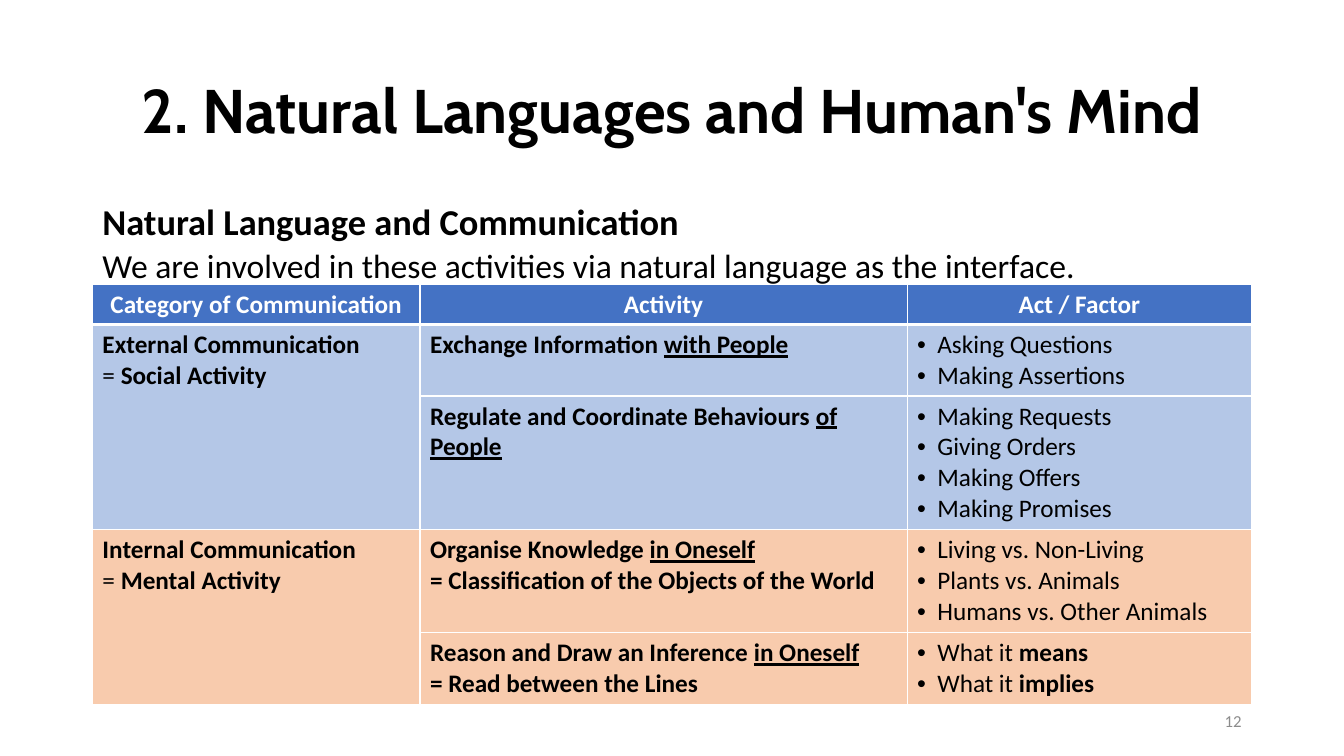
from pptx import Presentation
from pptx.dml.color import RGBColor
from pptx.enum.text import MSO_ANCHOR, PP_ALIGN
from pptx.oxml.ns import qn
from pptx.util import Inches, Pt
from lxml import etree

SLIDE_W, SLIDE_H = Inches(13.33), Inches(7.5)
GRID_COLS, GRID_ROWS = 160, 90
LEFT, CENTER, RIGHT = PP_ALIGN.LEFT, PP_ALIGN.CENTER, PP_ALIGN.RIGHT
TOP, MIDDLE = MSO_ANCHOR.TOP, MSO_ANCHOR.MIDDLE

BLACK = RGBColor(0x00, 0x00, 0x00)
WHITE = RGBColor(0xFF, 0xFF, 0xFF)
GREY = RGBColor(0x8C, 0x8C, 0x8C)
HEADER_BLUE = RGBColor(0x44, 0x72, 0xC4)
EXTERNAL_BLUE = RGBColor(0xB4, 0xC7, 0xE7)
INTERNAL_ORANGE = RGBColor(0xF8, 0xCB, 0xAD)

PLAIN = {"name": "Calibri", "size": Pt(18), "bold": False, "color": BLACK}
BOLD = {**PLAIN, "bold": True}
UNDERLINED = {**BOLD, "underline": True}
HEADER = {**BOLD, "color": WHITE}
TITLE = {**BOLD, "name": "Cabin", "size": Pt(44)}
SUBTITLE = {**BOLD, "size": Pt(26)}
INTRO = {**PLAIN, "size": Pt(24)}
PAGE_NUMBER = {**PLAIN, "size": Pt(12), "color": GREY}

COLUMN_WIDTHS = [39, 58, 41]
ROW_HEIGHTS = [4.8, 8.5, 15.9, 12.3, 8.5]
HEADINGS = ["Category of Communication", "Activity", "Act / Factor"]
CATEGORIES = [
    ("External Communication", "Social Activity", EXTERNAL_BLUE, [
        ([[("Exchange Information ", BOLD), ("with People", UNDERLINED)]],
         [[("Asking Questions", PLAIN)], [("Making Assertions", PLAIN)]]),
        ([[("Regulate and Coordinate Behaviours ", BOLD), ("of People", UNDERLINED)]],
         [[("Making Requests", PLAIN)], [("Giving Orders", PLAIN)],
          [("Making Offers", PLAIN)], [("Making Promises", PLAIN)]]),
    ]),
    ("Internal Communication", "Mental Activity", INTERNAL_ORANGE, [
        ([[("Organise Knowledge ", BOLD), ("in Oneself", UNDERLINED)],
          [("= Classification of the Objects of the World", BOLD)]],
         [[("Living vs. Non-Living", PLAIN)], [("Plants vs. Animals", PLAIN)],
          [("Humans vs. Other Animals", PLAIN)]]),
        ([[("Reason and Draw an Inference ", BOLD), ("in Oneself", UNDERLINED)],
          [("= Read between the Lines", BOLD)]],
         [[("What it ", PLAIN), ("means", BOLD)],
          [("What it ", PLAIN), ("implies", BOLD)]]),
    ]),
]


def across(columns):
    return round(SLIDE_W * columns / GRID_COLS)


def down(rows):
    return round(SLIDE_H * rows / GRID_ROWS)


def add_bullet(paragraph):
    properties = paragraph._p.get_or_add_pPr()
    properties.set("marL", str(Inches(0.2)))
    properties.set("indent", str(-Inches(0.2)))
    etree.SubElement(properties, qn("a:buFont")).set("typeface", "Arial")
    etree.SubElement(properties, qn("a:buChar")).set("char", "•")


def write(frame, lines, align=LEFT, bulleted=False, spacing=None, gap=0):
    for index, runs in enumerate(lines):
        paragraph = frame.add_paragraph() if index else frame.paragraphs[0]
        if bulleted:
            add_bullet(paragraph)
        paragraph.alignment = align
        if spacing:
            paragraph.line_spacing = spacing
        if index and gap:
            paragraph.space_before = gap
        for text, style in runs:
            run = paragraph.add_run()
            run.text = text
            for key, value in style.items():
                if key == "color":
                    run.font.color.rgb = value
                else:
                    setattr(run.font, key, value)


def add_text(slide, left, top, width, height, lines, anchor=TOP, **layout):
    box = slide.shapes.add_textbox(across(left), down(top), across(width), down(height))
    box.text_frame.word_wrap = True
    box.text_frame.vertical_anchor = anchor
    write(box.text_frame, lines, **layout)


def add_borders(cell, widths):
    properties = cell._tc.get_or_add_tcPr()
    for index, (side, width) in enumerate(widths.items()):
        line = etree.Element(qn(f"a:ln{side}"), w=str(Pt(width)))
        fill = etree.SubElement(line, qn("a:solidFill"))
        etree.SubElement(fill, qn("a:srgbClr")).set("val", str(WHITE))
        properties.insert(index, line)


def fill_row(table, row, color):
    widths = {"L": 1, "R": 1, "T": 3 if row == 1 else 1, "B": 1 if row else 3}
    for cell in table.rows[row].cells:
        cell.fill.solid()
        cell.fill.fore_color.rgb = color
        add_borders(cell, widths)


def add_communication_table(slide):
    table = slide.shapes.add_table(
        len(ROW_HEIGHTS), len(COLUMN_WIDTHS), across(11), down(33.84),
        across(sum(COLUMN_WIDTHS)), down(sum(ROW_HEIGHTS))).table
    for column, width in zip(table.columns, COLUMN_WIDTHS):
        column.width = across(width)
    for table_row, height in zip(table.rows, ROW_HEIGHTS):
        table_row.height = down(height)

    fill_row(table, 0, HEADER_BLUE)
    for column, heading in enumerate(HEADINGS):
        write(table.cell(0, column).text_frame, [[(heading, HEADER)]], CENTER)

    row = 1
    for category, meaning, color, activities in CATEGORIES:
        first = table.cell(row, 0)
        first.merge(table.cell(row + len(activities) - 1, 0))
        write(first.text_frame, [[(category, BOLD)], [("= ", PLAIN), (meaning, BOLD)]])
        for activity, acts in activities:
            fill_row(table, row, color)
            write(table.cell(row, 1).text_frame, activity)
            write(table.cell(row, 2).text_frame, acts, bulleted=True)
            row += 1


def main():
    presentation = Presentation()
    presentation.slide_width, presentation.slide_height = SLIDE_W, SLIDE_H
    slide = presentation.slides.add_slide(presentation.slide_layouts[6])
    add_text(slide, 113, 83.4, 36, 4.8, [[("12", PAGE_NUMBER)]], MIDDLE, align=RIGHT)
    add_text(slide, 11, 24, 138, 57.12, [
        [("Natural Language and Communication", SUBTITLE)],
        [("We are involved in these activities via natural language as the interface.", INTRO)],
    ], spacing=Pt(25.9), gap=Pt(4.2))
    add_text(slide, 11, 4.8, 138, 17.4,
             [[("2. Natural Languages and Human's Mind", TITLE)]],
             MIDDLE, align=CENTER, spacing=0.9)
    add_communication_table(slide)
    presentation.save("out.pptx")


if __name__ == "__main__":
    main()
